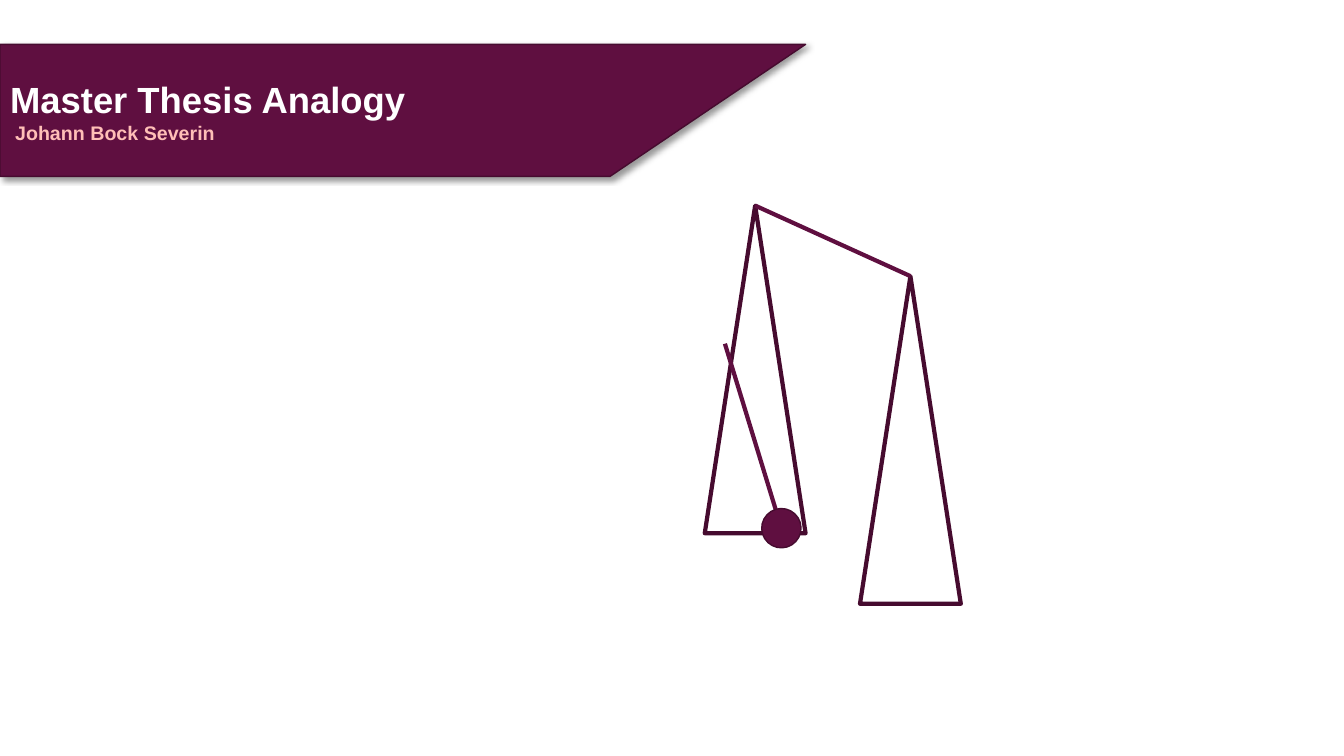
import pptx
import pptx.dml.color
import pptx.enum.shapes
import pptx.enum.text
import pptx.oxml
import pptx.oxml.ns
import pptx.util

Inches = pptx.util.Inches
Pt = pptx.util.Pt
RGB = pptx.dml.color.RGBColor
Shape = pptx.enum.shapes.MSO_SHAPE

PLUM = RGB(0x5F, 0x0F, 0x40)
DARK = RGB(0x46, 0x0B, 0x2F)
WHITE = RGB(0xFF, 0xFF, 0xFF)
PINK = RGB(0xFF, 0xBF, 0xB7)


class Deck:
    """Holds the style and the current slide."""

    font = "Arial"
    thin = Pt(1)
    thick = Pt(3)

    def __init__(self, prs):
        self.slide = prs.slides.add_slide(prs.slide_layouts[5])
        self.shapes = self.slide.shapes

    def paint(self, shape, fill, width):
        shape.shadow.inherit = False
        if fill is None:
            shape.fill.background()
        else:
            shape.fill.solid()
            shape.fill.fore_color.rgb = fill
        shape.line.color.rgb = DARK
        shape.line.width = width
        return shape

    def banner(self, points):
        start, *rest = [(Inches(x), Inches(y)) for x, y in points]
        form = self.shapes.build_freeform(*start)
        form.add_line_segments(rest, close=True)
        shape = self.paint(form.convert_to_shape(), PLUM, self.thin)
        effect = shape._element.spPr.find(pptx.oxml.ns.qn("a:effectLst"))
        effect.append(pptx.oxml.parse_xml(
            f'<a:outerShdw {pptx.oxml.ns.nsdecls("a")} blurRad="{Pt(4)}" '
            f'dist="{Pt(3)}" dir="2700000" algn="tl" rotWithShape="0">'
            '<a:srgbClr val="000000"><a:alpha val="40000"/></a:srgbClr>'
            '</a:outerShdw>'))
        return shape

    def title(self, base, lines):
        title = self.shapes.title
        title.left, title.top = base.left, base.top
        title.width, title.height = base.width, base.height
        base._element.addnext(title._element)
        frame = title.text_frame
        frame.text = "\n".join(text for text, *_ in lines)
        frame.word_wrap = True
        frame.auto_size = pptx.enum.text.MSO_AUTO_SIZE.NONE
        frame.vertical_anchor = pptx.enum.text.MSO_ANCHOR.MIDDLE
        for par, (_, size, color, indent) in zip(frame.paragraphs, lines):
            par.alignment = pptx.enum.text.PP_ALIGN.LEFT
            par._p.get_or_add_pPr().set("marL", str(Inches(indent)))
            for run in par.runs:
                run.font.name = self.font
                run.font.size = Pt(size)
                run.font.bold = True
                run.font.color.rgb = color

    def shape(self, kind, x, y, w, h, fill, width, home=None):
        shape = (home or self.shapes).add_shape(
            kind, Inches(x), Inches(y), Inches(w), Inches(h))
        return self.paint(shape, fill, width)

    def line(self, x1, y1, x2, y2, home=None):
        line = (home or self.shapes).add_connector(
            pptx.enum.shapes.MSO_CONNECTOR.STRAIGHT,
            Inches(x1), Inches(y1), Inches(x2), Inches(y2))
        line.line.color.rgb = PLUM
        line.line.width = self.thick
        line._element.spPr.append(pptx.oxml.parse_xml(
            f'<a:effectLst {pptx.oxml.ns.nsdecls("a")}/>'))
        return line

    def scale(self, tops, w, h):
        left, right = [
            self.shape(Shape.ISOSCELES_TRIANGLE, x - w / 2, y, w, h,
                       None, self.thick)
            for x, y in tops]
        beam = self.line(*tops[0], *tops[1])
        beam.begin_connect(left, 0)
        beam.end_connect(right, 0)

    def swing(self, x1, y1, x2, y2, size):
        home = self.shapes.add_group_shape().shapes
        self.line(x1, y1, x2, y2, home)
        ball = self.shape(Shape.OVAL, x2 - size / 2, y2 - size / 2,
                          size, size, PLUM, self.thin, home)
        ball.rotation = 342.9


def main():
    prs = pptx.Presentation()
    prs.slide_width, prs.slide_height = Inches(13.33), Inches(7.5)
    deck = Deck(prs)
    band = deck.banner([(0, 0.44), (7.99, 0.44), (6.05, 1.75), (0, 1.75)])
    deck.title(band, [("Master Thesis Analogy", 26, WHITE, 0),
                      ("Johann Bock Severin", 14, PINK, 0.05)])
    deck.scale([(7.49, 2.04), (9.03, 2.74)], 1, 3.25)
    deck.swing(7.19, 3.41, 7.75, 5.24, 0.39)
    prs.save("out.pptx")


if __name__ == "__main__":
    main()
